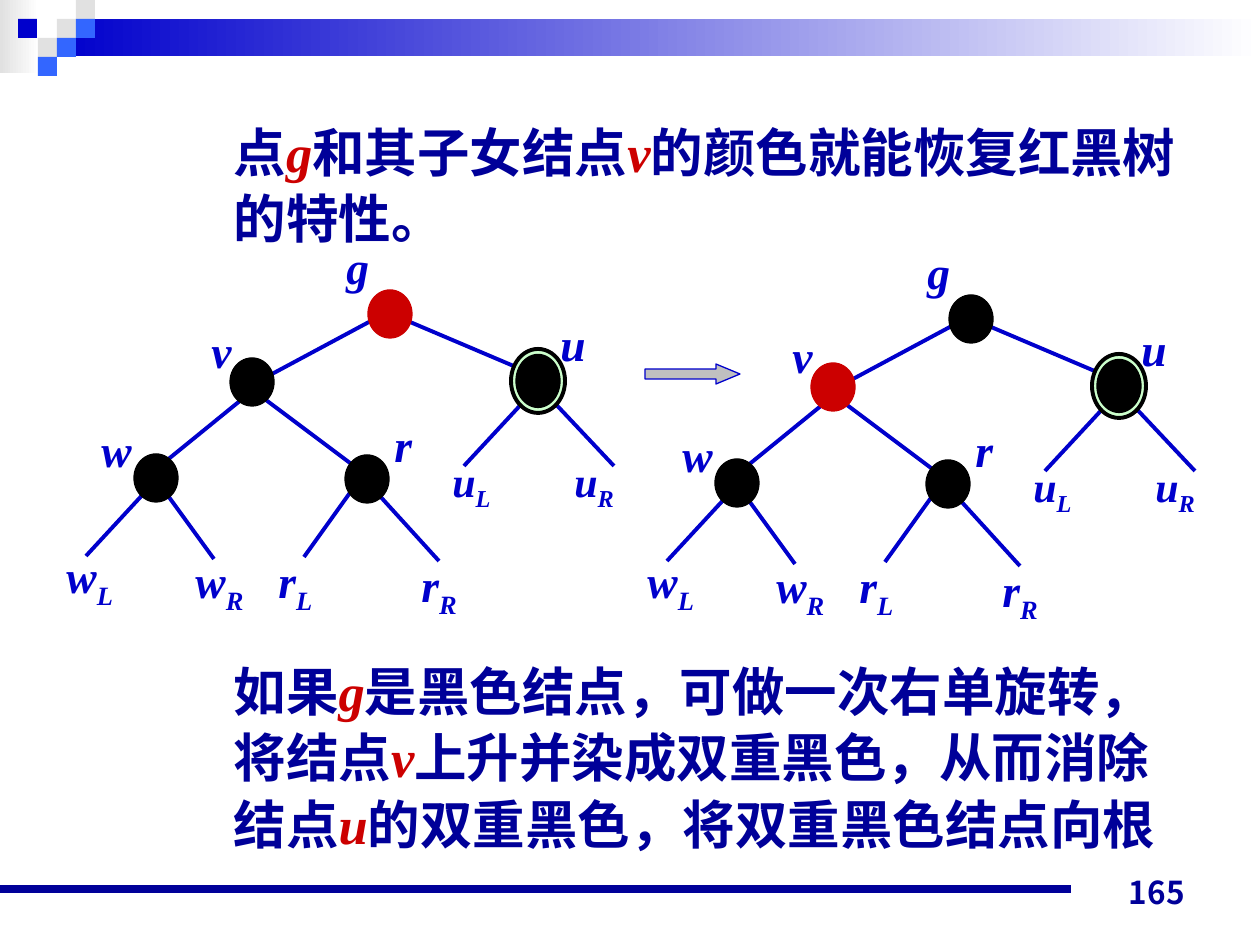
import pptx
import pptx.util
import pptx.dml.color
import pptx.enum.shapes
import pptx.enum.text
import pptx.oxml.ns
import lxml.etree

COLORS = {
    "navy": "000099", "blue": "0000CC", "sky": "3366FF", "red": "CC0000",
    "black": "000000", "white": "FFFFFF", "mint": "CCFFCC",
    "pale": "E1E1E1", "gray": "C0C0C0",
}
SERIF, SANS = "Times New Roman", "Noto Sans CJK JP"
SHAPE = pptx.enum.shapes.MSO_SHAPE
ALIGN = pptx.enum.text.PP_ALIGN
ANCHOR = pptx.enum.text.MSO_ANCHOR
Pt = pptx.util.Pt


def px(n):
    return round(n * 914400 / 126)


def rgb(name):
    return pptx.dml.color.RGBColor.from_string(COLORS[name])


def sub(parent, tag, **attrs):
    return lxml.etree.SubElement(parent, pptx.oxml.ns.qn(tag), attrs)


class Builder:
    def __init__(self, slide):
        self.s = slide

    def shape(self, kind, x, y, w, h, fill, line=None, width=0.75):
        sp = self.s.shapes.add_shape(kind, px(x), px(y), px(w), px(h))
        sp.shadow.inherit = False
        if isinstance(fill, tuple):
            sp.fill.gradient()
            sp.fill.gradient_angle = 0
            for stop, name in zip(sp.fill.gradient_stops, fill):
                stop.color.rgb = rgb(name)
        else:
            sp.fill.solid()
            sp.fill.fore_color.rgb = rgb(fill)
        if line:
            sp.line.color.rgb = rgb(line)
            sp.line.width = Pt(width)
        else:
            sp.line.fill.background()
        return sp

    def line(self, x1, y1, x2, y2, color="blue", width=2.25):
        c = self.s.shapes.add_connector(
            pptx.enum.shapes.MSO_CONNECTOR.STRAIGHT,
            px(x1), px(y1), px(x2), px(y2))
        c.line.color.rgb = rgb(color)
        c.line.width = Pt(width)
        sub(c._element.spPr, "a:effectLst")

    def run(self, p, text, size, color, italic=False, font=SERIF, base=0):
        r = p.add_run()
        r.text = text
        r.font.size, r.font.bold, r.font.italic = Pt(size), True, italic
        r.font.name = font
        r.font.color.rgb = rgb(color)
        rpr = r.font._element
        sub(rpr, "a:ea", typeface=SANS)
        if base:
            rpr.set("baseline", str(base * 1000))

    def text_box(self, x, y, w, h, align=ALIGN.LEFT, anchor=ANCHOR.TOP):
        tf = self.s.shapes.add_textbox(px(x), px(y), px(w), px(h)).text_frame
        tf.word_wrap = True
        tf.vertical_anchor = anchor
        tf.paragraphs[0].alignment = align
        return tf.paragraphs[0]

    def label(self, x, y, letter, index="", size=26):
        p = self.text_box(x, y, 90, 70)
        self.run(p, letter, size, "blue", True)
        if index:
            self.run(p, index, size, "blue", True, base=-25)

    def body(self, x, y, w, h, paragraphs, gap):
        sp = self.s.placeholders[1]
        sp.left, sp.top, sp.width, sp.height = px(x), px(y), px(w), px(h)
        tf = sp.text_frame
        tf.auto_size = pptx.enum.text.MSO_AUTO_SIZE.NONE
        tf.vertical_anchor = ANCHOR.TOP
        for i, runs in enumerate(paragraphs):
            p = tf.add_paragraph() if i else tf.paragraphs[0]
            p.line_spacing = Pt(38)
            p.space_before = Pt(gap if i else 0)
            ppr = p._p.get_or_add_pPr()
            ppr.set("marL", str(px(158)))
            ppr.set("indent", "0")
            sub(ppr, "a:buNone")
            for text in runs:
                node = text in NODES
                self.run(p, text, 30, "red" if node else "navy", node)

    def tree(self, dx, dy, red):
        for letter, index, x, y, size in LABELS:
            self.label(x + dx, y + dy, letter, index, size)
        for x1, y1, x2, y2 in EDGES:
            self.line(x1 + dx, y1 + dy, x2 + dx, y2 + dy)
        for name, (x, y) in NODES.items():
            x, y, h = x + dx, y + dy, 48
            if name == "u":  # doubly black node
                self.shape(SHAPE.OVAL, x - 27, y - 32, 54, 64, "mint", "black", 2.25)
                h = 53
            color = "red" if name == red else "black"
            self.shape(SHAPE.OVAL, x - 22, y - h / 2, 44, h, color, color)


# Node centres, labels and edges of the left tree
NODES = {"g": (390, 314), "v": (252, 382), "w": (156, 478),
         "r": (367, 479), "u": (538, 381)}
LABELS = [
    ("g", "", 334, 233, 26), ("v", "", 199, 317, 26), ("u", "", 548, 310, 26),
    ("w", "", 89, 416, 26), ("r", "", 382, 411, 26),
    ("u", "L", 440, 449, 24), ("u", "R", 562, 449, 24),
    ("w", "L", 54, 542, 26), ("w", "R", 183, 547, 26),
    ("r", "L", 266, 547, 26), ("r", "R", 409, 551, 26),
]
EDGES = [
    (382, 315, 272, 374), (403, 319, 523, 370),
    (246, 396, 160, 466), (262, 397, 354, 466),
    (528, 397, 464, 466), (549, 397, 614, 466),
    (147, 490, 86, 556), (166, 493, 214, 559),
    (352, 490, 304, 557), (378, 494, 439, 561),
]
# Header squares: left, top, colour
SQUARES = [(57, 19, "pale"), (76, 0, "pale"), (76, 19, "sky"), (38, 38, "pale"),
           (18, 19, "blue"), (57, 38, "sky"), (38, 57, "sky")]
PARAGRAPHS = [
    ["点", "g", "和其子女结点", "v", "的颜色就能恢复红黑树的特性。"],
    ["如果", "g", "是黑色结点，可做一次右单旋转，将结点", "v",
     "上升并染成双重黑色，从而消除结点", "u", "的双重黑色，将双重黑色结点向根"],
]


def main():
    prs = pptx.Presentation()
    prs.slide_width, prs.slide_height = px(1260), px(945)
    s = prs.slides.add_slide(prs.slide_layouts[1])
    title = s.shapes.title._element
    title.getparent().remove(title)
    b = Builder(s)

    # Header band and footer rule
    b.shape(SHAPE.RECTANGLE, 0, 0, 39, 73, ("pale", "white"))
    b.shape(SHAPE.RECTANGLE, 57, 19, 1203, 37, ("blue", "white"))
    for x, y, color in SQUARES:
        b.shape(SHAPE.RECTANGLE, x, y, 19, 19, color)
    b.line(0, 889, 1071, 889, "navy", 4.5)

    # Page number
    p = b.text_box(903, 854, 294, 63, ALIGN.RIGHT, ANCHOR.BOTTOM)
    b.run(p, "165", 18, "navy", font=SANS)

    # Text above and below the trees
    b.body(63, 110, 1134, 780, PARAGRAPHS, 232)

    # Trees before and after recolouring
    b.tree(0, 0, "g")
    arrow = b.shape(SHAPE.RIGHT_ARROW, 645, 364, 95, 20, "gray", "blue")
    arrow.adjustments[0], arrow.adjustments[1] = 0.5, 1.2
    b.tree(581, 5, "v")

    prs.save("out.pptx")


if __name__ == "__main__":
    main()
